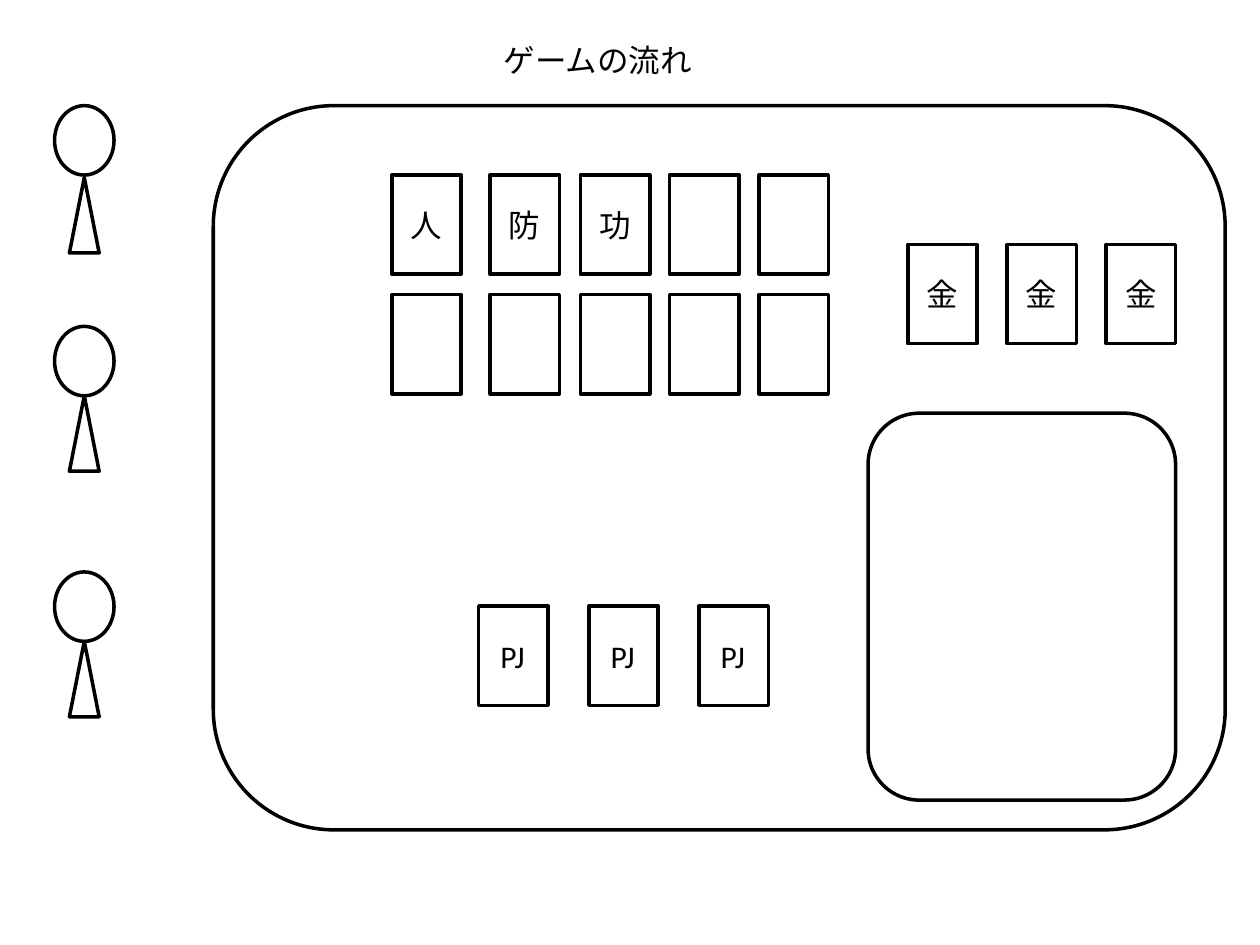
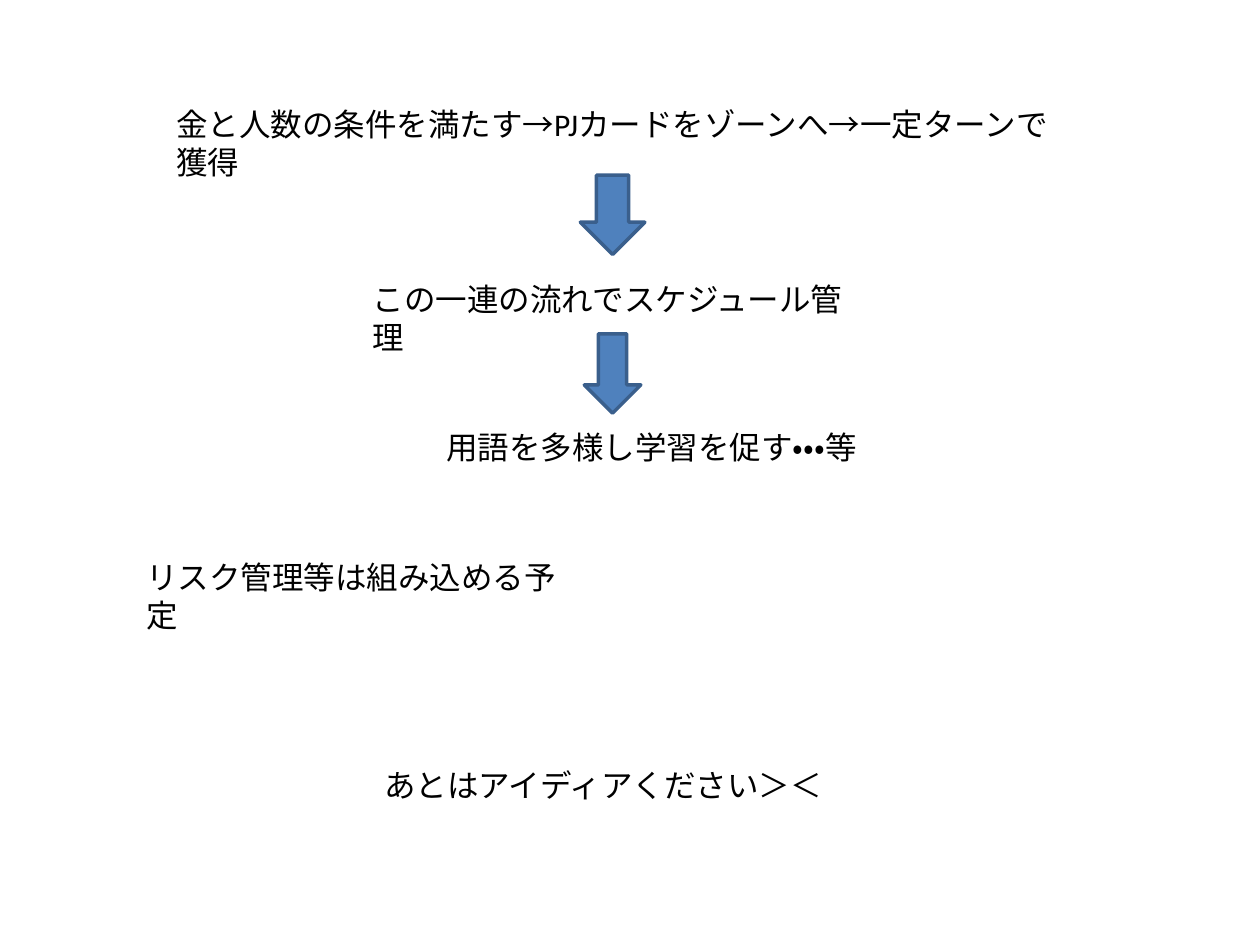
"""Build two slides: the game's table layout and the learning flow behind it."""
import pptx
import pptx.dml.color
import pptx.enum.lang
import pptx.enum.shapes
import pptx.enum.text
import pptx.util

Cm = pptx.util.Cm
Pt = pptx.util.Pt
SHAPE = pptx.enum.shapes.MSO_SHAPE

COLORS = {"ink": "000000", "paper": "FFFFFF", "arrow": "4F81BD", "arrow_edge": "3A5F8C"}
FONT = "Calibri"
TITLE_ONLY, BLANK = 5, 6
CARD_WIDTH, CARD_HEIGHT = 1.4, 2.0
LABEL_HEIGHT = 1.02
KANJI_WIDTH, PROJECT_WIDTH = 1.14, 1.02
HAND_COLUMNS = (7.9, 9.88, 11.7, 13.5, 15.3)
HAND_ROWS = ((3.53, ("人", "防", "功", "", "")), (5.94, ("",) * 5))
PLAYERS = ((2.13, 3.58), (6.58, 7.98), (11.53, 12.93))
FLOW_CENTER, FLOW_ARROW_HEIGHT = 12.35, 1.6
FLOW_ARROWS = ((3.53, 1.3), (6.73, 1.14))
FLOW_NOTES = (
    ("金と人数の条件を満たす→PJカードをゾーンへ→一定ターンで獲得", 3.3, 2.0, 18.21),
    ("この一連の流れでスケジュール管理", 7.27, 5.53, 10.26),
    ("用語を多様し学習を促す・・・等", 8.75, 8.51, 8.81),
    ("リスク管理等は組み込める予定", 2.7, 11.13, 9.04),
    ("あとはアイディアください＞＜", 7.5, 15.32, 13.0),
)


def rgb(name):
    """Return the named colour."""
    return pptx.dml.color.RGBColor.from_string(COLORS[name])


def write_text(frame, words, wrap):
    """Put one left-aligned run of body text into a frame."""
    frame.word_wrap = wrap
    frame.auto_size = pptx.enum.text.MSO_AUTO_SIZE.SHAPE_TO_FIT_TEXT
    frame.vertical_anchor = pptx.enum.text.MSO_ANCHOR.TOP
    paragraph = frame.paragraphs[0]
    paragraph.alignment = pptx.enum.text.PP_ALIGN.LEFT
    run = paragraph.add_run()
    run.text = words
    run.font.name = FONT
    run.font.size = Pt(18)
    run.font.color.rgb = rgb("ink")
    run.font.language_id = pptx.enum.lang.MSO_LANGUAGE_ID.JAPANESE


def add_title(slide, words, left, top, width):
    """Place and fill the slide's title."""
    title = slide.shapes.title
    title.left, title.top = Cm(left), Cm(top)
    title.width, title.height = Cm(width), Cm(LABEL_HEIGHT)
    write_text(title.text_frame, words, False)


def add_note(slide, words, left, top, width, wrap=True):
    """Add a text box."""
    note = slide.shapes.add_textbox(Cm(left), Cm(top), Cm(width), Cm(LABEL_HEIGHT))
    write_text(note.text_frame, words, wrap)


def add_figure(slide, kind, left, top, width, height, fill=None, edge="ink"):
    """Add an outlined preset shape, hollow unless a fill is named."""
    figure = slide.shapes.add_shape(kind, Cm(left), Cm(top), Cm(width), Cm(height))
    figure.shadow.inherit = False
    if fill:
        figure.fill.solid()
        figure.fill.fore_color.rgb = rgb(fill)
    else:
        figure.fill.background()
    figure.line.color.rgb = rgb(edge)
    figure.line.width = Pt(2)


def add_card(slide, left, top, label="", label_width=KANJI_WIDTH):
    """Add a card with an optional label at its centre."""
    add_figure(slide, SHAPE.RECTANGLE, left, top, CARD_WIDTH, CARD_HEIGHT)
    if label:
        label_left = left + (CARD_WIDTH - label_width) / 2
        label_top = top + (CARD_HEIGHT - LABEL_HEIGHT) / 2
        add_note(slide, label, label_left, label_top, label_width, wrap=False)


def add_player(slide, head_top, body_top):
    """Add a player made of a round head and a triangular body."""
    add_figure(slide, SHAPE.OVAL, 1.1, head_top, 1.2, 1.4)
    add_figure(slide, SHAPE.ISOSCELES_TRIANGLE, 1.4, body_top, 0.6, 1.52)


def build_table_slide(deck):
    """Draw the players, the table and its cards."""
    slide = deck.slides.add_slide(deck.slide_layouts[TITLE_ONLY])
    add_title(slide, "ゲームの流れ", 9.9, 0.69, 4.6)
    add_figure(slide, SHAPE.ROUNDED_RECTANGLE, 4.3, 2.13, 20.4, 14.6)
    for top, labels in HAND_ROWS:
        for left, label in zip(HAND_COLUMNS, labels):
            add_card(slide, left, top, label)
    for position in range(3):
        add_card(slide, 9.65 + 2.22 * position, 12.22, "PJ", PROJECT_WIDTH)
        add_card(slide, 18.3 + 2.0 * position, 4.93, "金")
    for head_top, body_top in PLAYERS:
        add_player(slide, head_top, body_top)
    add_figure(slide, SHAPE.ROUNDED_RECTANGLE, 17.5, 8.33, 6.2, 7.8)


def build_flow_slide(deck):
    """Draw the notes and the arrows that lead from one to the next."""
    slide = deck.slides.add_slide(deck.slide_layouts[BLANK])
    for words, left, top, width in FLOW_NOTES:
        add_note(slide, words, left, top, width)
    for top, width in FLOW_ARROWS:
        add_figure(slide, SHAPE.DOWN_ARROW, FLOW_CENTER - width / 2, top, width,
                   FLOW_ARROW_HEIGHT, "arrow", "arrow_edge")


def main():
    """Build and save the deck."""
    deck = pptx.Presentation()
    deck.slide_width, deck.slide_height = Cm(25.4), Cm(19.05)
    background = deck.slide_master.background.fill
    background.solid()
    background.fore_color.rgb = rgb("paper")
    build_table_slide(deck)
    build_flow_slide(deck)
    deck.save("out.pptx")


if __name__ == "__main__":
    main()
